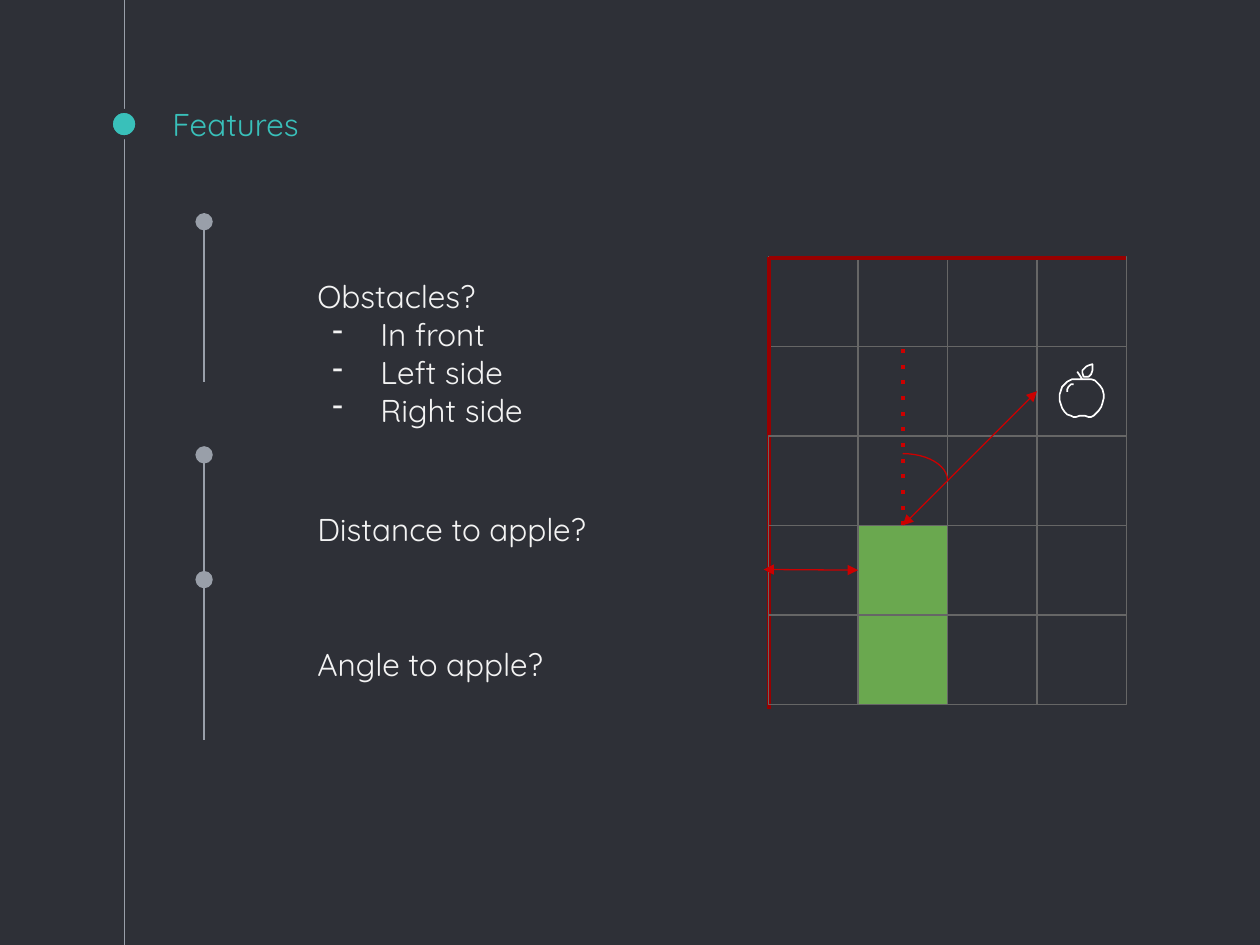
from lxml.etree import SubElement
from pptx import Presentation
from pptx.dml.color import RGBColor
from pptx.enum.dml import MSO_LINE
from pptx.enum.shapes import MSO_CONNECTOR, MSO_SHAPE
from pptx.enum.text import MSO_ANCHOR
from pptx.oxml.ns import qn
from pptx.util import Inches, Pt

DARK = RGBColor(0x2E, 0x30, 0x37)
TEAL = RGBColor(0x39, 0xC0, 0xBA)
GRAY = RGBColor(0x99, 0x9F, 0xA9)
PALE = RGBColor(0xF3, 0xF3, 0xF3)
WHITE = RGBColor(0xFF, 0xFF, 0xFF)
GRID = RGBColor(0x66, 0x66, 0x66)
GREEN = RGBColor(0x6A, 0xA8, 0x4F)
MAROON = RGBColor(0x98, 0x00, 0x00)
RED = RGBColor(0xCC, 0x00, 0x00)

CELL = 0.71
GRID_LEFT, GRID_TOP = 6.1, 2.04
ROWS, COLUMNS = 5, 4
SNAKE = [(3, 1), (4, 1)]

deck = Presentation()
deck.slide_width, deck.slide_height = Inches(10), Inches(7.5)
page = deck.slides.add_slide(deck.slide_layouts[6])
page.background.fill.solid()
page.background.fill.fore_color.rgb = DARK


def add_text(text, left, top, width, height, color=PALE, anchor=MSO_ANCHOR.TOP, bullets=()):
    box = page.shapes.add_textbox(Inches(left), Inches(top), Inches(width), Inches(height))
    frame = box.text_frame
    frame.word_wrap = True
    frame.vertical_anchor = anchor
    frame.margin_left = frame.margin_right = Inches(0.1)
    frame.margin_top = frame.margin_bottom = Inches(0.1)
    for index, line in enumerate([text, *bullets]):
        para = frame.add_paragraph() if index else frame.paragraphs[0]
        span = para.add_run()
        span.text = line
        span.font.name = "Quicksand"
        span.font.size = Pt(18)
        span.font.color.rgb = color
        if index:
            properties = para._p.get_or_add_pPr()
            properties.set("marL", str(Inches(0.5)))
            properties.set("indent", str(Inches(-0.38)))
            SubElement(properties, qn("a:buChar"), char="-")


def add_line(start, end, color, width=0.75, head=None, tail=None, size="med"):
    line = page.shapes.add_connector(
        MSO_CONNECTOR.STRAIGHT, *(Inches(value) for value in (*start, *end)))
    line.line.color.rgb = color
    line.line.width = Pt(width)
    outline = line.line._get_or_add_ln()
    for tag, kind in (("a:headEnd", head), ("a:tailEnd", tail)):
        if kind:
            SubElement(outline, qn(tag), type=kind, w=size, len=size)
    SubElement(line._element.spPr, qn("a:effectLst"))
    return line


add_line((0.99, 0), (0.99, 7.5), GRAY)
marker = page.shapes.add_shape(
    MSO_SHAPE.OVAL, Inches(0.88), Inches(0.88), Inches(0.21), Inches(0.21))
marker.shadow.inherit = False
marker.fill.solid()
marker.fill.fore_color.rgb = TEAL
marker.line.color.rgb = DARK
marker.line.width = Pt(2.25)

add_text("Features", 1.27, 0.73, 7.5, 0.5, color=TEAL, anchor=MSO_ANCHOR.BOTTOM)
for top in (4.6, 1.76, 3.61):
    add_line((1.62, top + 1.27), (1.62, top), GRAY, tail="oval", size="lg")
add_text("Distance to apple?", 2.42, 3.95, 2.53, 0.42)
add_text("Angle to apple?", 2.42, 5.02, 2.53, 0.42)
add_text("Obstacles?", 2.42, 2.1, 2.53, 0.42, bullets=["In front", "Left side", "Right side"])

leaf = [(8.6, 2.93), (8.62, 2.91), (8.64, 2.9), (8.67, 2.89), (8.67, 2.94), (8.66, 2.97),
        (8.64, 2.99), (8.62, 2.99), (8.6, 2.99), (8.59, 2.96), (8.59, 2.94)]
body = [(8.59, 3.01), (8.54, 3.01), (8.51, 3.01), (8.49, 3.02), (8.47, 3.03), (8.45, 3.05),
        (8.43, 3.07), (8.42, 3.1), (8.41, 3.13), (8.41, 3.18), (8.42, 3.21), (8.43, 3.24),
        (8.45, 3.27), (8.47, 3.29), (8.5, 3.3), (8.52, 3.31), (8.54, 3.31), (8.57, 3.3),
        (8.61, 3.3), (8.64, 3.31), (8.66, 3.31), (8.68, 3.3), (8.7, 3.28), (8.72, 3.26),
        (8.74, 3.23), (8.75, 3.2), (8.76, 3.16), (8.76, 3.13), (8.75, 3.09), (8.73, 3.06),
        (8.71, 3.04), (8.69, 3.02), (8.66, 3.01), (8.63, 3.01), (8.59, 3.01), (8.55, 2.95)]
shine = [(8.52, 3.05), (8.5, 3.05), (8.49, 3.06), (8.48, 3.07), (8.47, 3.09), (8.47, 3.11)]
apple = page.shapes.add_group_shape()
for points, closed in ((leaf, True), (body, False), (shine, False)):
    corners = [(Inches(x), Inches(y)) for x, y in points]
    builder = apple.shapes.build_freeform(*corners[0])
    builder.add_line_segments(corners[1:], close=closed)
    part = builder.convert_to_shape()
    part.shadow.inherit = False
    part.fill.background()
    part.line.color.rgb = WHITE
    part.line.width = Pt(0.96)

walls_after_row = {
    1: ((GRID_LEFT, GRID_TOP), (GRID_LEFT, 5.63)),
    3: ((GRID_LEFT, 2.05), (GRID_LEFT + COLUMNS * CELL, 2.05)),
}
cells = {}
for row in range(ROWS):
    for column in range(COLUMNS):
        cell = page.shapes.add_shape(
            MSO_SHAPE.RECTANGLE, Inches(GRID_LEFT + column * CELL),
            Inches(GRID_TOP + row * CELL), Inches(CELL), Inches(CELL))
        cell.shadow.inherit = False
        cell.line.color.rgb = GRID
        cell.line.width = Pt(0.75)
        if (row, column) in SNAKE:
            cell.fill.solid()
            cell.fill.fore_color.rgb = GREEN
        else:
            cell.fill.background()
        cells[row, column] = cell
    if row in walls_after_row:
        add_line(*walls_after_row[row], MAROON, width=2.25)

snake_head = cells[SNAKE[0]]
distance = add_line((7.17, 4.17), (8.23, 3.1), RED, head="triangle", tail="triangle")
distance.begin_connect(snake_head, 0)
distance.end_connect(cells[1, 3], 1)

heading = add_line((7.17, 4.17), (7.17, 2.75), RED, width=2.25)
heading.line.dash_style = MSO_LINE.ROUND_DOT
heading.line._get_or_add_ln().find(qn("a:prstDash")).set("val", "dot")
heading.begin_connect(snake_head, 0)
heading.end_connect(cells[1, 1], 0)

angle = page.shapes.add_shape(
    MSO_SHAPE.ARC, Inches(6.81), Inches(3.6), Inches(CELL), Inches(0.42))
angle.shadow.inherit = False
angle.fill.background()
angle.line.color.rgb = RED
angle.line.width = Pt(0.75)

wall_distance = add_line((6.06, 4.52), (6.81, 4.52), RED, head="triangle", tail="triangle")
wall_distance.end_connect(snake_head, 1)

deck.save("out.pptx")
